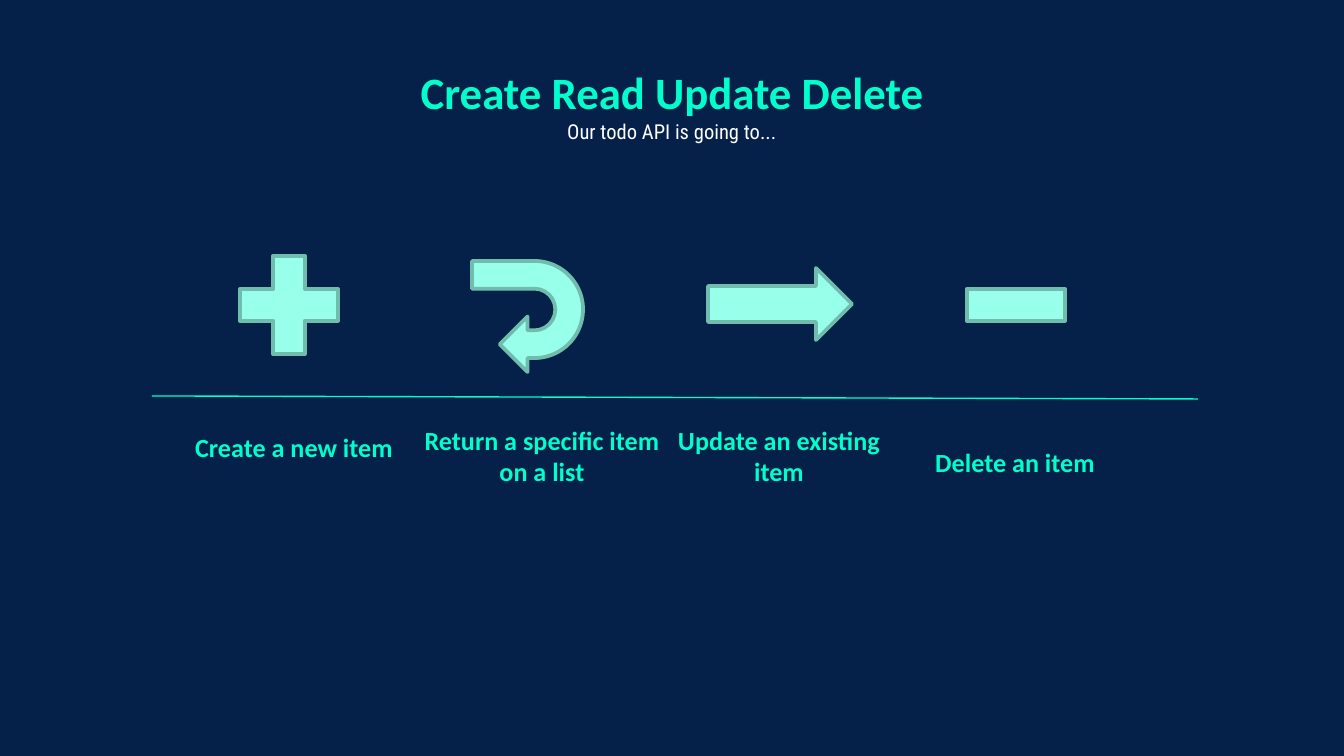
from dataclasses import dataclass

from lxml.etree import SubElement
from pptx import Presentation
from pptx.dml.color import RGBColor
from pptx.enum.shapes import MSO_CONNECTOR as Connector, MSO_SHAPE as Shape
from pptx.enum.text import MSO_ANCHOR as Anchor, PP_ALIGN as Align
from pptx.oxml.ns import qn
from pptx.util import Emu, Pt


@dataclass(frozen=True)
class Theme:
    background: str = "05214A"
    accent: str = "00FFCD"
    icon_fill: str = "98FFEA"
    icon_line: str = "70BDAD"
    white: str = "FFFFFF"
    heading_font: str = "Calibri"
    body_font: str = "Roboto Condensed"
    title_size: int = 24
    subtitle_size: int = 11
    label_size: int = 14
    rule_width: float = 0.75
    icon_width: int = 2


THEME = Theme()

# Content: lengths in px
SLIDE = (1344, 756)
TITLE = "Create Read Update Delete"
SUBTITLE = "Our todo API is going to..."
TITLE_BOX = (289, 52, 766, 138)
RULE = (1198, 399, 152, 396)
LABEL_SIZE = (262, 63)
INSET = 13
# label, label left and top, icon, icon box, icon rotation
OPERATIONS = [
    ("Create a new item", (163, 413), Shape.MATH_PLUS, (222, 238, 134, 134), 0),
    ("Return a specific item on a list", (411, 437), Shape.U_TURN_ARROW, (472, 261, 111, 111), 90),
    ("Update an existing item", (648, 437), Shape.RIGHT_ARROW, (708, 268, 144, 72), 0),
    ("Delete an item", (884, 428), Shape.MATH_MINUS, (949, 238, 134, 134), 0),
]


def px(*lengths):
    return [Emu(round(length * 914400 / 134.4)) for length in lengths]


def color(value):
    return RGBColor.from_string(value)


def add_span(para, text, *, size, fill=THEME.accent, font=THEME.heading_font, bold=True):
    span = para.add_run()
    span.text = text
    span.font.size = Pt(size)
    span.font.name = font
    span.font.bold = bold
    span.font.color.rgb = color(fill)


def add_para(page, place, anchor):
    """Add a text box and return its centred first paragraph."""
    frame = page.shapes.add_textbox(*px(*place)).text_frame
    frame.word_wrap = True
    frame.vertical_anchor = anchor
    (frame.margin_left, frame.margin_top,
     frame.margin_right, frame.margin_bottom) = px(*[INSET] * 4)
    para = frame.paragraphs[0]
    para.alignment = Align.CENTER
    return para


def add_icon(page, kind, place, rotation):
    icon = page.shapes.add_shape(kind, *px(*place))
    icon.rotation = rotation
    icon.shadow.inherit = False
    icon.fill.solid()
    icon.fill.fore_color.rgb = color(THEME.icon_fill)
    icon.line.color.rgb = color(THEME.icon_line)
    icon.line.width = Pt(THEME.icon_width)


def add_rule(page):
    rule = page.shapes.add_connector(Connector.STRAIGHT, *px(*RULE))
    rule.line.color.rgb = color(THEME.accent)
    rule.line.width = Pt(THEME.rule_width)
    SubElement(rule._element.spPr, qn("a:effectLst"))


def main():
    deck = Presentation()
    deck.slide_width, deck.slide_height = px(*SLIDE)
    page = deck.slides.add_slide(deck.slide_layouts[6])
    page.background.fill.solid()
    page.background.fill.fore_color.rgb = color(THEME.background)

    # Title and subtitle
    heading = add_para(page, TITLE_BOX, Anchor.TOP)
    add_span(heading, TITLE, size=THEME.title_size)
    heading.add_line_break()
    add_span(heading, SUBTITLE, size=THEME.subtitle_size, fill=THEME.white,
             font=THEME.body_font, bold=False)

    # Operations above and below the rule
    add_rule(page)
    for label, corner, kind, place, rotation in OPERATIONS:
        add_span(add_para(page, corner + LABEL_SIZE, Anchor.BOTTOM), label,
                 size=THEME.label_size)
        add_icon(page, kind, place, rotation)

    deck.save("out.pptx")


if __name__ == "__main__":
    main()
